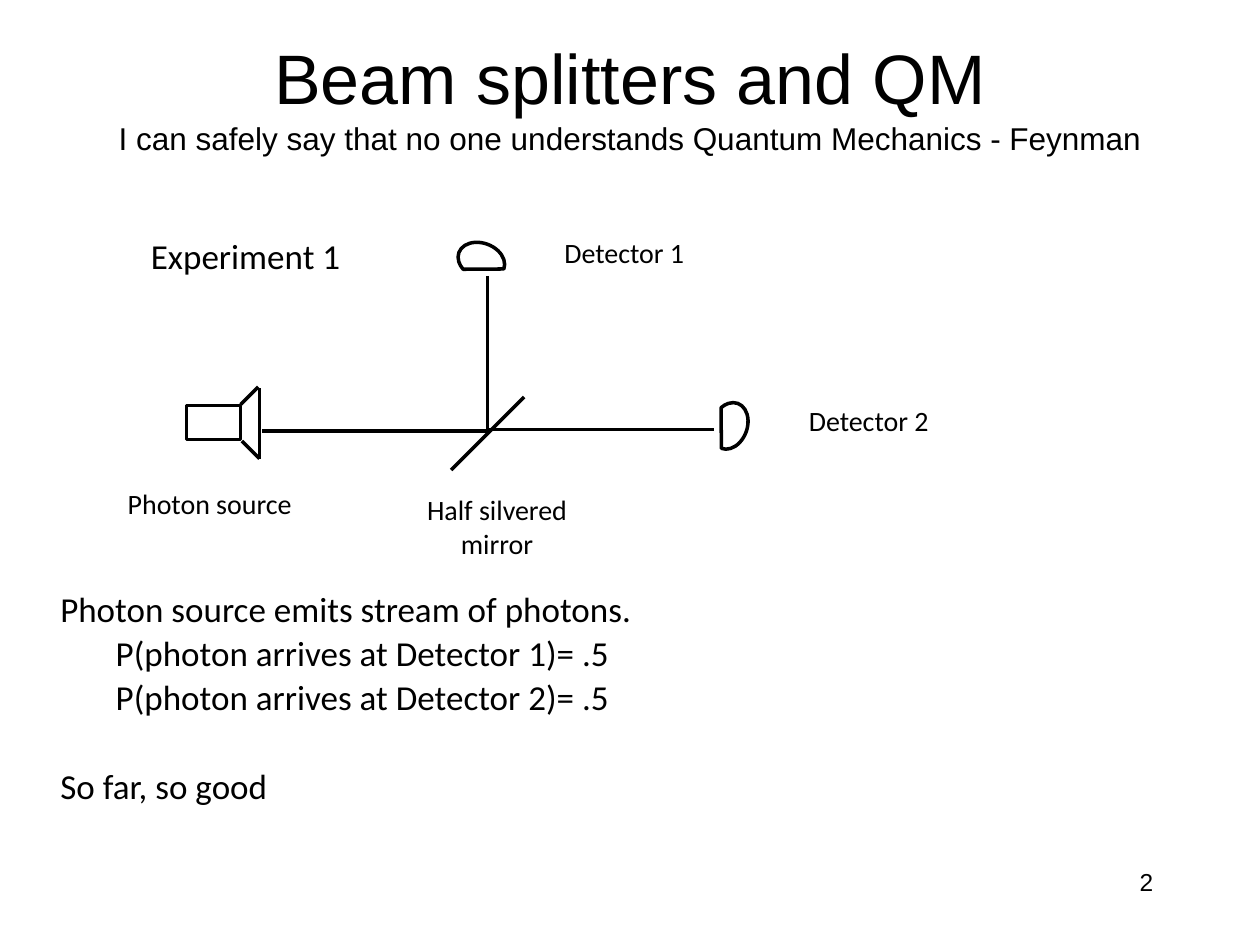
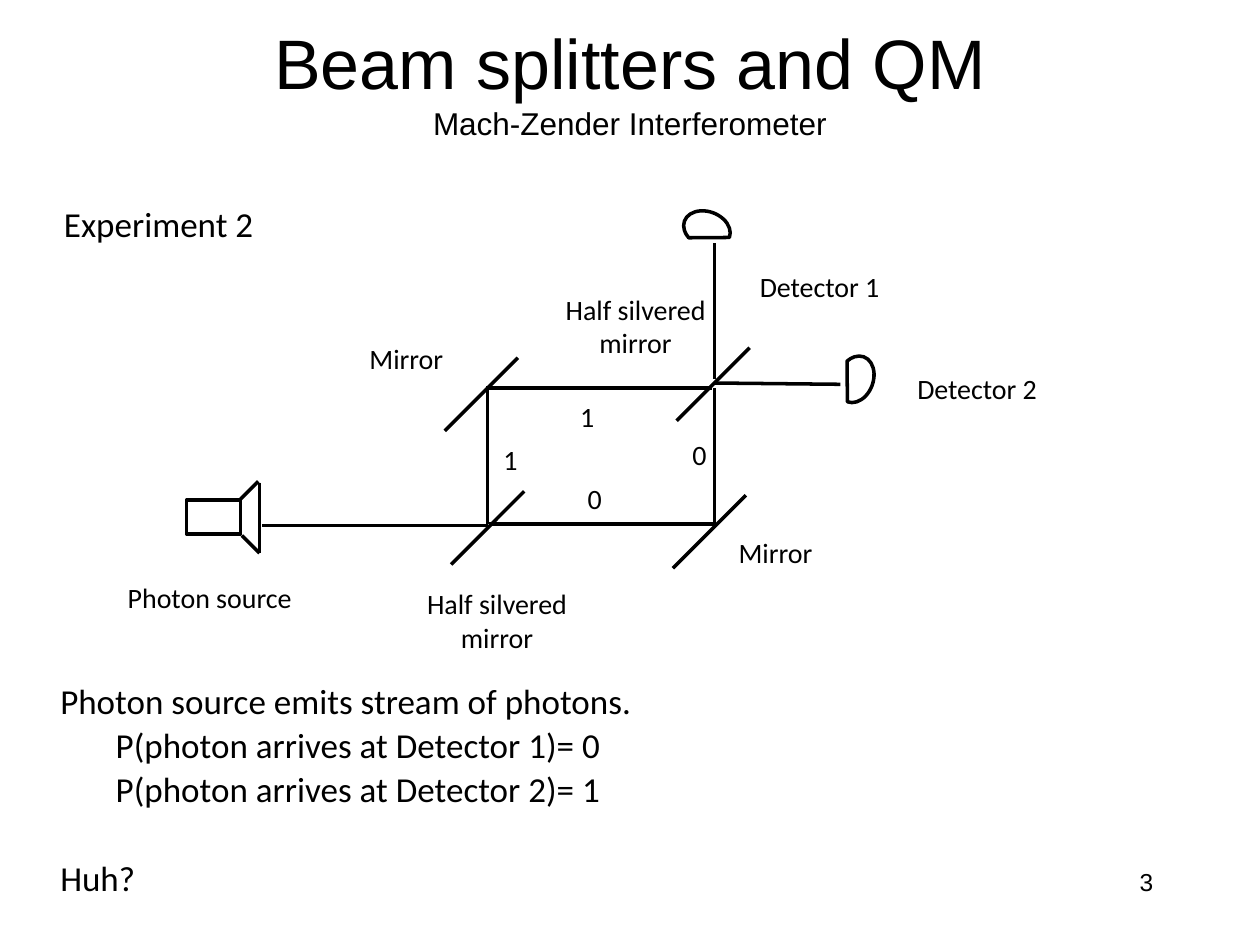
from lxml.etree import SubElement
from pptx import Presentation
from pptx.dml.color import RGBColor
from pptx.enum.shapes import MSO_CONNECTOR as Connector, MSO_SHAPE as Shape
from pptx.enum.text import MSO_ANCHOR as Anchor, PP_ALIGN as Align
from pptx.oxml.ns import qn
from pptx.util import Inches, Pt

COLORS = {"ink": "000000", "paper": "FFFFFF"}
TITLE_FONT = "Arial"
BODY_FONT = "Calibri"
LABEL_WIDTH = 1.67
BODY_GAP = 3.6
CONCLUSION_GAP = 29.1


def color(name):
    return RGBColor.from_string(COLORS[name])


def add_box(page, left, top, width, height, anchor=Anchor.TOP):
    box = page.shapes.add_textbox(Inches(left), Inches(top), Inches(width), Inches(height))
    frame = box.text_frame
    frame.word_wrap = True
    frame.vertical_anchor = anchor
    return frame


def write(para, text, size=16, font=BODY_FONT, align=Align.CENTER, before=0, spacing=1.0):
    para.alignment = align
    para.space_before = Pt(before)
    para.line_spacing = spacing
    span = para.add_run()
    span.text = text
    span.font.size = Pt(size)
    span.font.name = font
    span.font.color.rgb = color("ink")


def add_label(page, text, left, top, width=LABEL_WIDTH, height=0.37, **style):
    write(add_box(page, left, top, width, height).paragraphs[0], text, **style)


def add_title(page, subtitle, top):
    para = add_box(page, 0.75, top, 8.5, 1, Anchor.MIDDLE).paragraphs[0]
    write(para, "Beam splitters and QM", size=40, font=TITLE_FONT)
    para.add_line_break()
    write(para, subtitle, size=18, font=TITLE_FONT)


def add_body(page, top, height, chances, conclusion):
    frame = add_box(page, 0.38, top, 9.25, height)
    style = dict(size=20, align=Align.LEFT, spacing=0.9)
    write(frame.paragraphs[0], "Photon source emits stream of photons.", **style)
    for detector, chance in enumerate(chances, 1):
        para = frame.add_paragraph()
        para._p.get_or_add_pPr().set("marL", str(Inches(0.44)))
        write(para, f"P(photon arrives at Detector {detector})= {chance}", before=BODY_GAP, **style)
    write(frame.add_paragraph(), conclusion, before=CONCLUSION_GAP, **style)


def add_line(page, x1, y1, x2, y2):
    line = page.shapes.add_connector(
        Connector.STRAIGHT, Inches(x1), Inches(y1), Inches(x2), Inches(y2))
    line.line.color.rgb = color("ink")
    line.line.width = Pt(2)
    SubElement(line._element.spPr, qn("a:effectLst"))


def add_outline(page, kind, left, top, width, height, rotation=0):
    shape = page.shapes.add_shape(
        kind, Inches(left), Inches(top), Inches(width), Inches(height))
    shape.shadow.inherit = False
    shape.fill.background()
    shape.line.color.rgb = color("ink")
    shape.line.width = Pt(2)
    shape.rotation = rotation


def add_mirror(page, center_x, center_y):
    reach = 0.29
    add_line(page, center_x - reach, center_y + reach, center_x + reach, center_y - reach)


def add_detector(page, left, top, rotation):
    add_outline(page, Shape.CHORD, left, top, 0.28, 0.38, rotation)


def add_half_mirror_label(page, left, top):
    add_label(page, "Half silvered mirror", left, top, height=0.64)


def add_source_and_splitter(page, beam_y):
    add_outline(page, Shape.RECTANGLE, 1.48, beam_y - 0.2, 0.43, 0.27)
    add_line(page, 1.91, beam_y - 0.21, 2.05, beam_y - 0.35)
    add_line(page, 1.92, beam_y + 0.08, 2.06, beam_y + 0.22)
    add_line(page, 2.06, beam_y - 0.34, 2.06, beam_y + 0.22)
    add_line(page, 2.08, beam_y, 3.87, beam_y)
    add_line(page, 3.88, beam_y - 0.01, 5.67, beam_y - 0.01)
    add_mirror(page, 3.87, beam_y + 0.02)
    add_label(page, "Photon source", 0.83, beam_y + 0.39)
    add_half_mirror_label(page, 3.11, beam_y + 0.44)


def add_page(deck, number, subtitle, title_top):
    page = deck.slides.add_slide(deck.slide_layouts[6])
    page.background.fill.solid()
    page.background.fill.fore_color.rgb = color("paper")
    add_label(page, str(number), 7.17, 6.83, 2.08, 0.5,
              size=14, font=TITLE_FONT, align=Align.RIGHT)
    add_title(page, subtitle, title_top)
    return page


def build_single_splitter(deck):
    page = add_page(
        deck, 2, "I can safely say that no one understands Quantum Mechanics - Feynman", 0.26)
    add_body(page, 4.65, 2.58, (".5", ".5"), "So far, so good")
    add_source_and_splitter(page, 3.42)
    add_line(page, 3.87, 2.19, 3.87, 3.44)
    add_detector(page, 3.68, 1.88, 110)
    add_detector(page, 5.65, 3.19, 200)
    add_label(page, "Detector 1", 4.12, 1.82)
    add_label(page, "Detector 2", 6.06, 3.15)
    add_label(page, "Experiment 1", 0.6, 1.81, 2.7, 0.44, size=20)


def build_interferometer(deck):
    page = add_page(deck, 3, "Mach-Zender Interferometer", 0.14)
    add_body(page, 5.38, 1.86, ("0", "1"), "Huh?")
    add_source_and_splitter(page, 4.17)
    for center in ((3.82, 3.13), (5.63, 4.22), (5.66, 3.05)):
        add_mirror(page, *center)
    for beam in ((3.87, 4.16, 3.87, 3.07), (5.67, 4.17, 5.67, 3.08),
                 (3.86, 3.08, 5.65, 3.08), (5.67, 3.04, 6.67, 3.05),
                 (5.67, 1.93, 5.67, 3.01)):
        add_line(page, *beam)
    add_detector(page, 5.47, 1.63, 110)
    add_detector(page, 6.65, 2.82, 200)
    add_half_mirror_label(page, 4.21, 2.27)
    for text, left, top in (("Detector 1", 5.67, 2.09), ("Detector 2", 6.92, 2.9),
                            ("Mirror", 2.39, 2.66), ("Mirror", 5.32, 4.2)):
        add_label(page, text, left, top)
    for bit, left, top in (("1", 4.5, 3.12), ("1", 3.89, 3.46),
                           ("0", 4.56, 3.77), ("0", 5.39, 3.42)):
        add_label(page, bit, left, top, 0.32)
    add_label(page, "Experiment 2", -0.09, 1.56, 2.7, 0.44, size=20)


def main():
    deck = Presentation()
    deck.slide_width = Inches(10)
    deck.slide_height = Inches(7.5)
    build_single_splitter(deck)
    build_interferometer(deck)
    deck.save("out.pptx")


if __name__ == "__main__":
    main()
